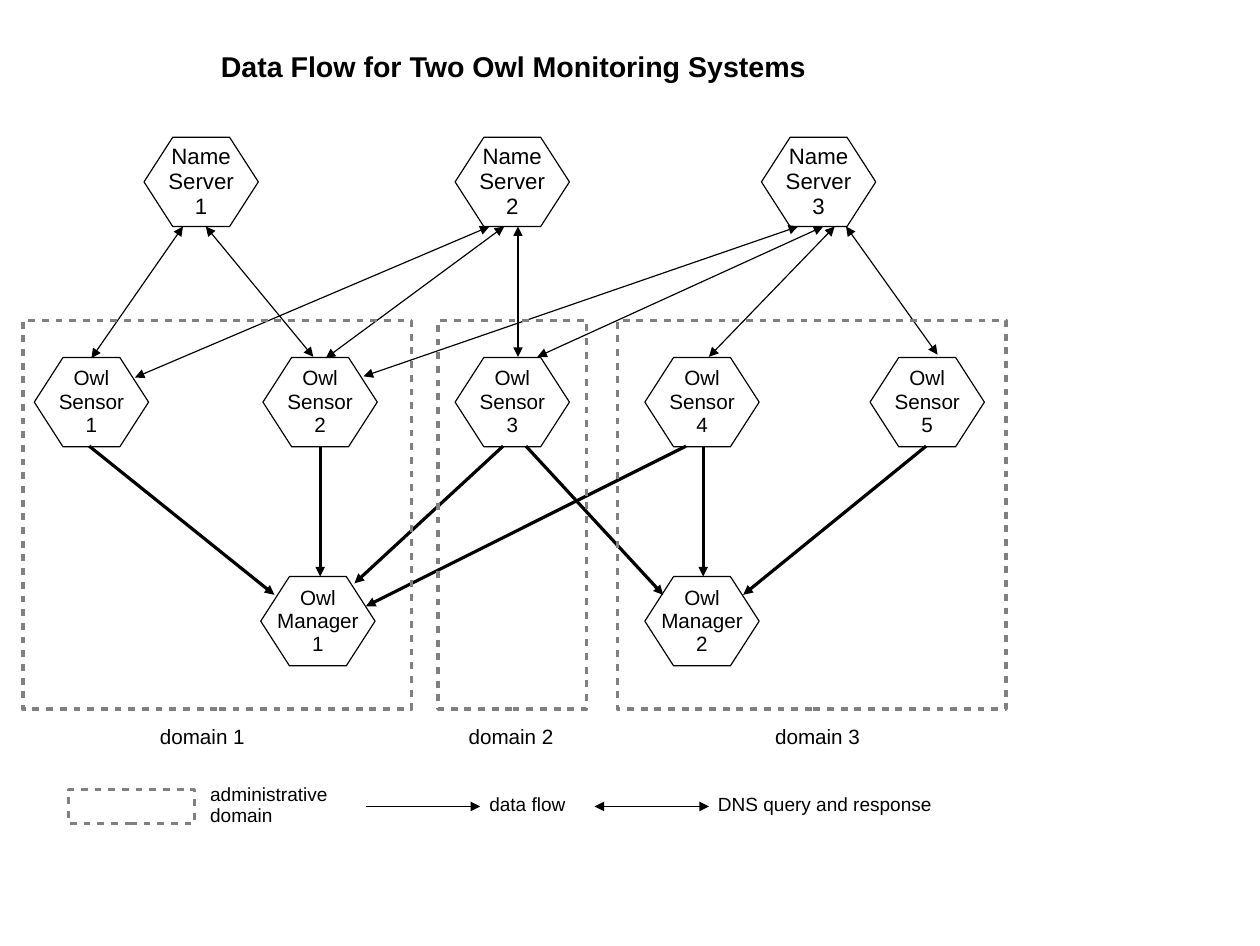
from lxml import etree
from pptx import Presentation
from pptx.dml.color import RGBColor
from pptx.enum import shapes, text
from pptx.oxml import ns
from pptx.util import Pt

BLACK, GREY = "000000", "808080"


def color(code):
    return RGBColor.from_string(code)


def add(parent, tag, **attrs):
    """Append a DrawingML child element and return it."""
    return etree.SubElement(parent, ns.qn(tag), attrs)


class Board:
    font = "Arial"
    spacing = 0.93
    thin = 0.75
    thick = 2.15

    def __init__(self, slide):
        self.slide = slide

    def fill_text(self, frame, lines, size, bold=False, align=text.PP_ALIGN.LEFT):
        frame.auto_size = text.MSO_AUTO_SIZE.NONE
        frame.text = "\n".join(lines)
        for para in frame.paragraphs:
            para.alignment = align
            para.line_spacing = self.spacing
            para.space_before = Pt(0)
            para.font.name = self.font
            para.font.size = Pt(size)
            para.font.bold = bold
            para.font.color.rgb = color(BLACK)

    def title(self, words, x, y, w, h):
        box = self.slide.shapes.title
        box.left, box.top, box.width, box.height = map(Pt, (x, y, w, h))
        frame = box.text_frame
        frame.word_wrap = True
        frame.vertical_anchor = text.MSO_ANCHOR.TOP
        self.fill_text(frame, [words], 18, bold=True)

    def label(self, lines, x, y, w, h, size=12, align=text.PP_ALIGN.LEFT):
        box = self.slide.shapes.add_textbox(*map(Pt, (x, y, w, h)))
        box.text_frame.word_wrap = True
        self.fill_text(box.text_frame, lines, size, align=align)

    def outline(self, kind, x, y, w, h, ink, width):
        """Add an unfilled preset shape."""
        shape = self.slide.shapes.add_shape(kind, *map(Pt, (x, y, w, h)))
        shape.shadow.inherit = False
        shape.fill.background()
        shape.line.color.rgb = color(ink)
        shape.line.width = Pt(width)
        return shape

    def node(self, lines, x, y, size):
        hexa = self.outline(shapes.MSO_SHAPE.HEXAGON, x, y, 72, 56.2, BLACK, self.thin)
        hexa.adjustments[0] = 0.322
        frame = hexa.text_frame
        frame.word_wrap = False
        frame.vertical_anchor = text.MSO_ANCHOR.MIDDLE
        self.fill_text(frame, lines, size, align=text.PP_ALIGN.CENTER)

    def domain(self, x, y, w, h):
        rect = self.outline(shapes.MSO_SHAPE.RECTANGLE, x, y, w, h, GREY, self.thick)
        dash = add(rect._element.spPr.find(ns.qn("a:ln")), "a:custDash")
        add(dash, "a:ds", d="200000", sp="200000")

    def arrow(self, x1, y1, x2, y2, width=thin, both=False):
        line = self.slide.shapes.add_connector(
            shapes.MSO_CONNECTOR.STRAIGHT, *map(Pt, (x1, y1, x2, y2)))
        line.line.color.rgb = color(BLACK)
        line.line.width = Pt(width)
        props = line._element.spPr
        ln = props.find(ns.qn("a:ln"))
        if both:
            add(ln, "a:headEnd", type="triangle")
        add(ln, "a:tailEnd", type="triangle")
        add(props, "a:effectLst")


def main():
    deck = Presentation()
    deck.slide_width, deck.slide_height = Pt(793.44), Pt(595.44)
    board = Board(deck.slides.add_slide(deck.slide_layouts[5]))
    board.title("Data Flow for Two Owl Monitoring Systems", 131.8, 28.8, 386, 27.4)

    rows = [
        ("Name", "Server", 14, 86.4, (90.7, 286.6, 479.5)),
        ("Owl", "Sensor", 13, 225, (21.6, 165.6, 286.6, 406.1, 547.9)),
        ("Owl", "Manager", 13, 362.9, (164.2, 406.1)),
    ]
    for owner, role, size, y, lefts in rows:
        for num, x in enumerate(lefts, 1):
            board.node([owner, role, str(num)], x, y, size)

    # Sensor to manager: start x, end x, end y
    flows = [
        (56.2, 172.8, 374.4), (201.6, 201.6, 362.9), (316.8, 223.2, 367.2),
        (331.2, 417.6, 374.4), (432, 230.4, 381.6), (442.8, 442.8, 362.9),
        (583.2, 468, 374.4),
    ]
    for x1, x2, y2 in flows:
        board.arrow(x1, 280.8, x2, y2, width=0)

    # Name server to sensor: start x, end x, end y
    queries = [
        (115.2, 57.6, 225.4), (129.6, 197.3, 224.6), (308.2, 85, 237.6),
        (317.5, 205.2, 225.4), (326.2, 326.2, 224.6), (502.6, 229, 236.9),
        (518.4, 338.4, 224.6), (525.6, 446.4, 224.6), (532.8, 590.4, 223.2),
    ]
    for x1, x2, y2 in queries:
        board.arrow(x1, 142.6, x2, y2, both=True)

    # Domain: left, width, label left
    domains = [(14.4, 244.8, 87.8), (275.8, 93.6, 282.2), (388.8, 244.8, 475.2)]
    for num, (x, w, left) in enumerate(domains, 1):
        board.domain(x, 201.6, w, 244.8)
        board.label([f"domain {num}"], left, 453.6, 79.2, 21.6, 13, text.PP_ALIGN.CENTER)

    # Legend
    board.domain(43.2, 496.8, 79.2, 21.6)
    board.label(["administrative", "domain"], 125.3, 490.3, 105, 36)
    board.arrow(230.4, 507.6, 302.4, 507.6)
    board.label(["data flow"], 301, 496.8, 70, 21)
    board.arrow(374.4, 507.6, 446.4, 507.6, both=True)
    board.label(["DNS query and response"], 445, 496.8, 165, 21)

    deck.save("out.pptx")


if __name__ == "__main__":
    main()
